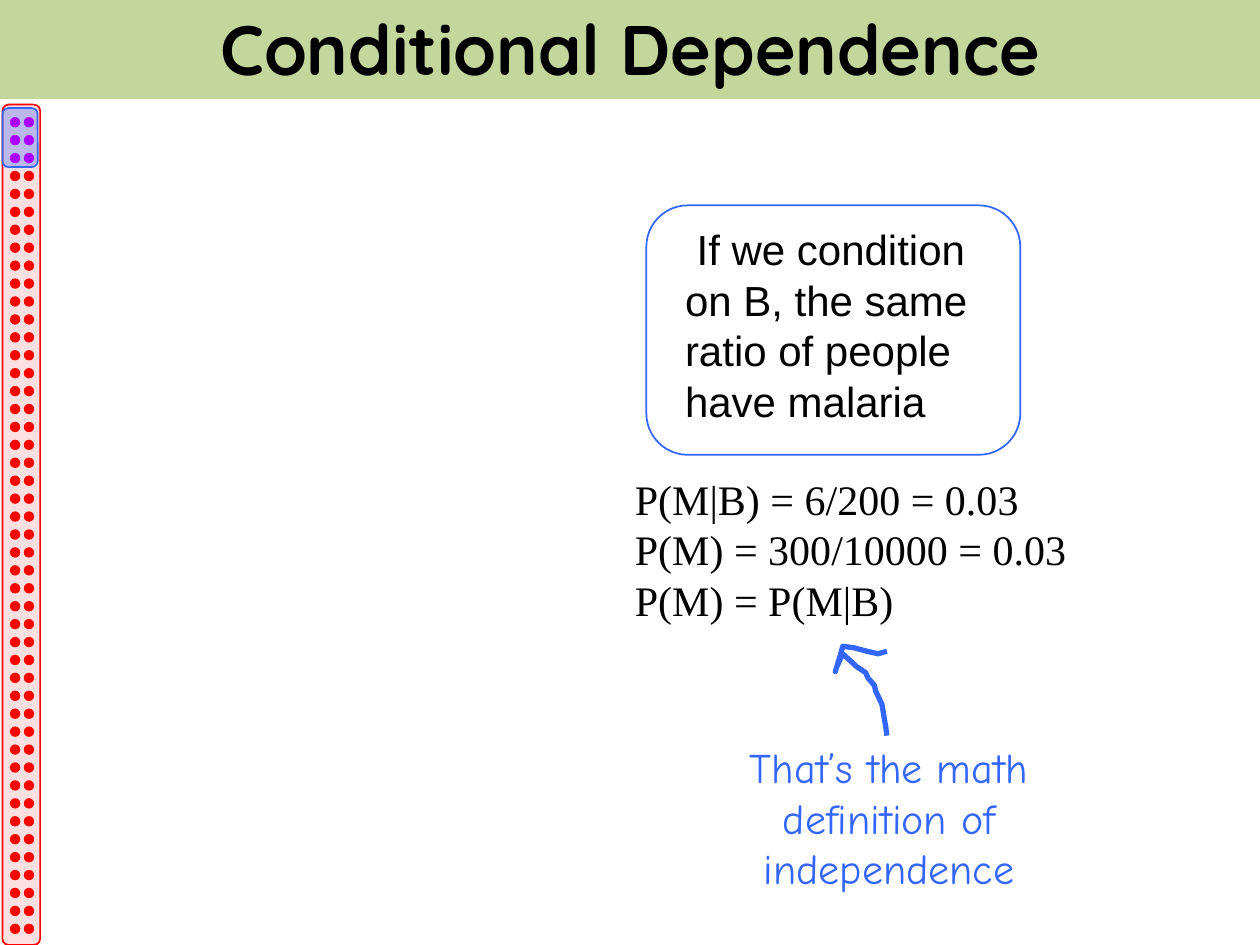
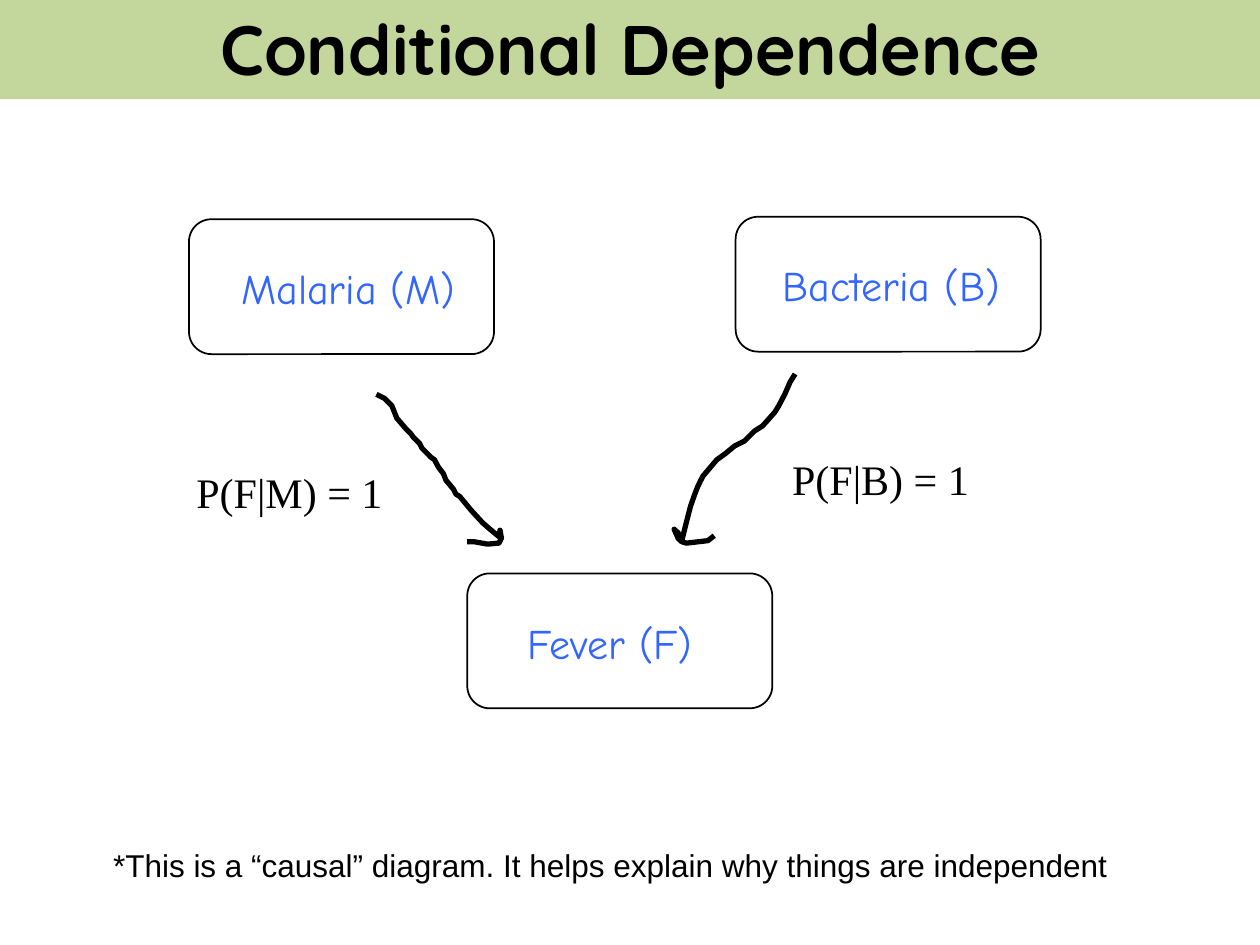
from lxml import etree
from pptx import Presentation
from pptx.dml.color import RGBColor
from pptx.enum.shapes import MSO_SHAPE
from pptx.enum.text import MSO_ANCHOR, MSO_AUTO_SIZE, PP_ALIGN
from pptx.oxml.ns import qn
from pptx.util import Cm, Pt

RECT_ROUND, DOT = MSO_SHAPE.ROUNDED_RECTANGLE, MSO_SHAPE.OVAL
LEFT, CENTER, MIDDLE = PP_ALIGN.LEFT, PP_ALIGN.CENTER, MSO_ANCHOR.MIDDLE
GROW, NO_FIT = MSO_AUTO_SIZE.SHAPE_TO_FIT_TEXT, MSO_AUTO_SIZE.NONE

BLACK = RGBColor(0x01, 0x00, 0x00)
WHITE = RGBColor(0xFF, 0xFF, 0xFF)
BLUE = RGBColor(0x33, 0x66, 0xFF)
RED = RGBColor(0xFF, 0x00, 0x00)
PURPLE = RGBColor(0xA9, 0x00, 0xFF)
GREEN = RGBColor(0xC3, 0xD6, 0x9B)

# Text styles: font values, colour, alignment
TITLE = ({"name": "Quicksand", "size": Pt(40), "bold": True}, BLACK, CENTER)
BODY = ({"name": "Arial", "size": Pt(24)}, BLACK, LEFT)
NOTE = ({"name": "Arial", "size": Pt(18)}, BLACK, LEFT)
MATH = ({"name": "Times New Roman", "size": Pt(24)}, BLACK, LEFT)
HAND = ({"name": "Comic Neue", "size": Pt(24)}, BLUE, CENTER)

# Content shared by both slides; every box is left, top, width, height in cm
HEADING = "Conditional Dependence"
BAND = (0, -0.08, 25.4, 2.08)

# Content of slide 1: people with bacteria (B), the first rows also with malaria
BACTERIA_STRIP = (0.05, 2.11, 0.76, 16.94)
MALARIA_STRIP = (0.05, 2.18, 0.71, 1.19)
DOT_COLUMNS, DOT_ROWS, MALARIA_ROWS = 2, 46, 3
DOT_SIZE, DOT_LEFT, DOT_STEP = 0.21, 0.2, 0.28
DOT_TOP, DOT_LAST_TOP = 2.36, 18.62
CALLOUT = (13.03, 4.14, 7.54, 5.03)
INDEPENDENCE_TEXTS = [
    (["\u0020If we condition on B, the same ratio of people have malaria".replace("\u0020", " ")],
     (13.56, 4.39, 7.06, 4.37), BODY, True),
    (["P(M|B) = 6/200 = 0.03", "P(M) = 300/10000 = 0.03", "P(M) = P(M|B)"],
     (12.55, 9.42, 11, 3.33), MATH, True),
    (["That’s the math definition of independence"],
     (13.82, 14.83, 8.2, 3.33), HAND, True),
]
DEFINITION_ARROW = [
    (17.88, 14.83), (17.86, 14.68), (17.78, 14.2), (17.65, 13.92), (17.63, 13.82),
    (17.5, 13.67), (17.45, 13.56), (17.27, 13.44), (16.99, 13.18), (16.87, 13.44),
    (16.84, 13.54), (16.94, 13.21), (16.99, 13.03), (17.22, 13.06), (17.48, 13.13),
    (17.7, 13.18), (17.88, 13.13),
]

# Content of slide 2: causal diagram, each node with box and label corners
NODE_SIZE, LABEL_SIZE = (6.15, 2.72), (8.2, 1.27)
NODES = [
    ("Malaria (M)", (3.81, 4.42), (2.92, 5.16)),
    ("Bacteria (B)", (14.83, 4.37), (13.87, 5.11)),
    ("Fever (F)", (9.42, 11.56), (8.2, 12.32)),
]
CAUSAL_TEXTS = [
    (["*This is a “causal” diagram. It helps explain why things are independent"],
     (2.03, 16.94, 20.75, 1.02), NOTE, False),
    (["P(F|M) = 1"], (3.71, 9.27, 4.29, 1.27), MATH, False),
    (["P(F|B) = 1"], (15.72, 9.02, 4.11, 1.27), MATH, False),
]
MALARIA_ARROW = [
    (7.59, 7.95), (7.75, 8.03), (7.9, 8.18), (8, 8.43), (8.18, 8.64), (8.28, 8.74),
    (8.33, 8.81), (8.46, 8.94), (8.51, 9.04), (8.69, 9.22), (8.76, 9.27),
    (8.84, 9.42), (8.94, 9.55), (8.99, 9.68), (9.14, 9.86), (9.19, 9.96),
    (9.27, 10.01), (9.37, 10.13), (9.5, 10.29), (9.73, 10.54), (9.88, 10.67),
    (10.06, 10.82), (10.08, 10.69), (10.11, 10.85), (10.06, 10.95), (9.83, 10.97),
    (9.55, 10.92), (9.42, 10.92),
]
BACTERIA_ARROW = [
    (16.03, 7.54), (15.93, 7.7), (15.82, 7.95), (15.7, 8.18), (15.62, 8.31),
    (15.47, 8.48), (15.37, 8.59), (15.21, 8.69), (15.01, 8.89), (14.81, 8.99),
    (14.63, 9.14), (14.45, 9.27), (14.17, 9.6), (14.12, 9.7), (14.07, 9.8),
    (14, 9.98), (13.92, 10.21), (13.84, 10.52), (13.74, 10.92), (13.67, 10.85),
    (13.59, 10.67), (13.67, 10.74), (13.74, 10.92), (13.84, 10.95), (14.27, 10.9),
    (14.4, 10.8),
]


def in_cm(box):
    return [Cm(length) for length in box]


def write(frame, lines, style, **frame_format):
    font_format, color, align = style
    for key, value in frame_format.items():
        setattr(frame, key, value)
    for number, line in enumerate(lines):
        paragraph = frame.add_paragraph() if number else frame.paragraphs[0]
        paragraph.alignment = align
        run = paragraph.add_run()
        run.text = line
        for key, value in font_format.items():
            setattr(run.font, key, value)
        run.font.color.rgb = color


def add_texts(slide, texts):
    for lines, box, style, wrap in texts:
        frame = slide.shapes.add_textbox(*in_cm(box)).text_frame
        write(frame, lines, style, word_wrap=wrap, auto_size=GROW)


def add_filled(slide, preset, box, fill, line=None, opacity=None):
    shape = slide.shapes.add_shape(preset, *in_cm(box))
    shape.shadow.inherit = False
    shape.fill.solid()
    shape.fill.fore_color.rgb = fill
    if opacity:
        color = shape.fill._xPr.find(".//" + qn("a:srgbClr"))
        etree.SubElement(color, qn("a:alpha"), val=str(opacity * 1000))
    if line is None:
        shape.line.fill.background()
    else:
        shape.line.color.rgb = line
        shape.line.width = Pt(1)


def add_sketched_arrow(slide, points, color):
    start, *rest = [in_cm(point) for point in points]
    builder = slide.shapes.build_freeform(*start)
    builder.add_line_segments(rest, close=False)
    stroke = builder.convert_to_shape()
    stroke.shadow.inherit = False
    stroke.fill.background()
    stroke.line.color.rgb = color
    stroke.line.width = Pt(3)


def add_titled_slide(deck):
    slide = deck.slides.add_slide(deck.slide_layouts[5])
    title = slide.shapes.title
    title.left, title.top, title.width, title.height = in_cm(BAND)
    title.fill.solid()
    title.fill.fore_color.rgb = GREEN
    write(title.text_frame, [HEADING], TITLE, vertical_anchor=MIDDLE, auto_size=NO_FIT)
    return slide


def build_independence(deck):
    slide = add_titled_slide(deck)
    # Strip of people
    add_filled(slide, RECT_ROUND, BACTERIA_STRIP, RED, RED, opacity=12)
    add_filled(slide, RECT_ROUND, MALARIA_STRIP, BLUE, BLUE, opacity=33)
    row_step = (DOT_LAST_TOP - DOT_TOP) / (DOT_ROWS - 1)
    for row in range(DOT_ROWS):
        color = PURPLE if row < MALARIA_ROWS else RED
        for column in range(DOT_COLUMNS):
            box = (DOT_LEFT + column * DOT_STEP, DOT_TOP + row * row_step,
                   DOT_SIZE, DOT_SIZE)
            add_filled(slide, DOT, box, color)
    # Callout, equations and remark
    add_filled(slide, RECT_ROUND, CALLOUT, WHITE, BLUE)
    add_texts(slide, INDEPENDENCE_TEXTS)
    add_sketched_arrow(slide, DEFINITION_ARROW, BLUE)


def build_causal_diagram(deck):
    slide = add_titled_slide(deck)
    # Nodes
    for label, corner, label_corner in NODES:
        add_filled(slide, RECT_ROUND, corner + NODE_SIZE, WHITE, BLACK)
        add_texts(slide, [([label], label_corner + LABEL_SIZE, HAND, True)])
    # Causes
    for arrow in (MALARIA_ARROW, BACTERIA_ARROW):
        add_sketched_arrow(slide, arrow, BLACK)
    add_texts(slide, CAUSAL_TEXTS)


def main():
    deck = Presentation()
    deck.slide_width, deck.slide_height = Cm(25.4), Cm(19.05)
    build_independence(deck)
    build_causal_diagram(deck)
    deck.save("out.pptx")


if __name__ == "__main__":
    main()
